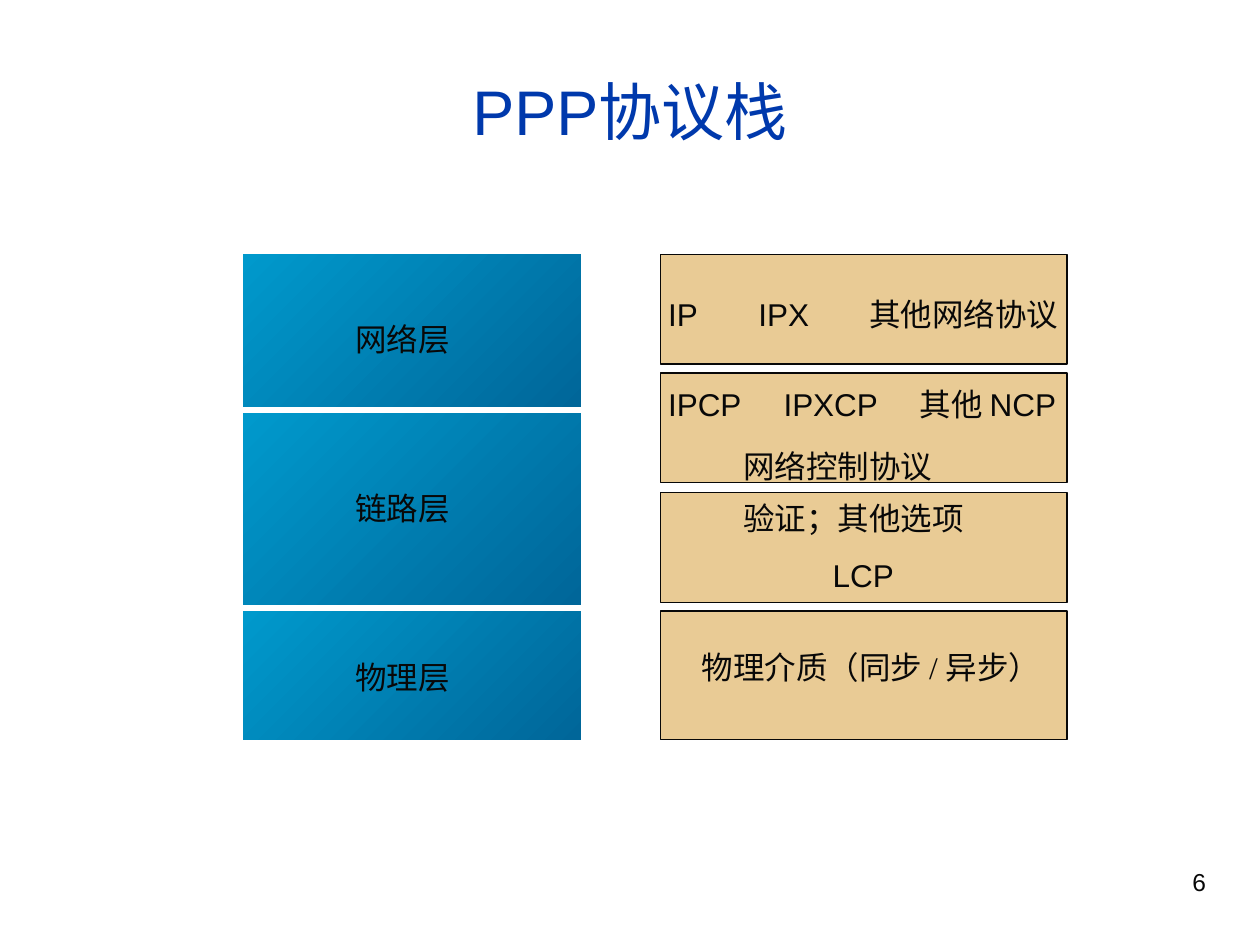
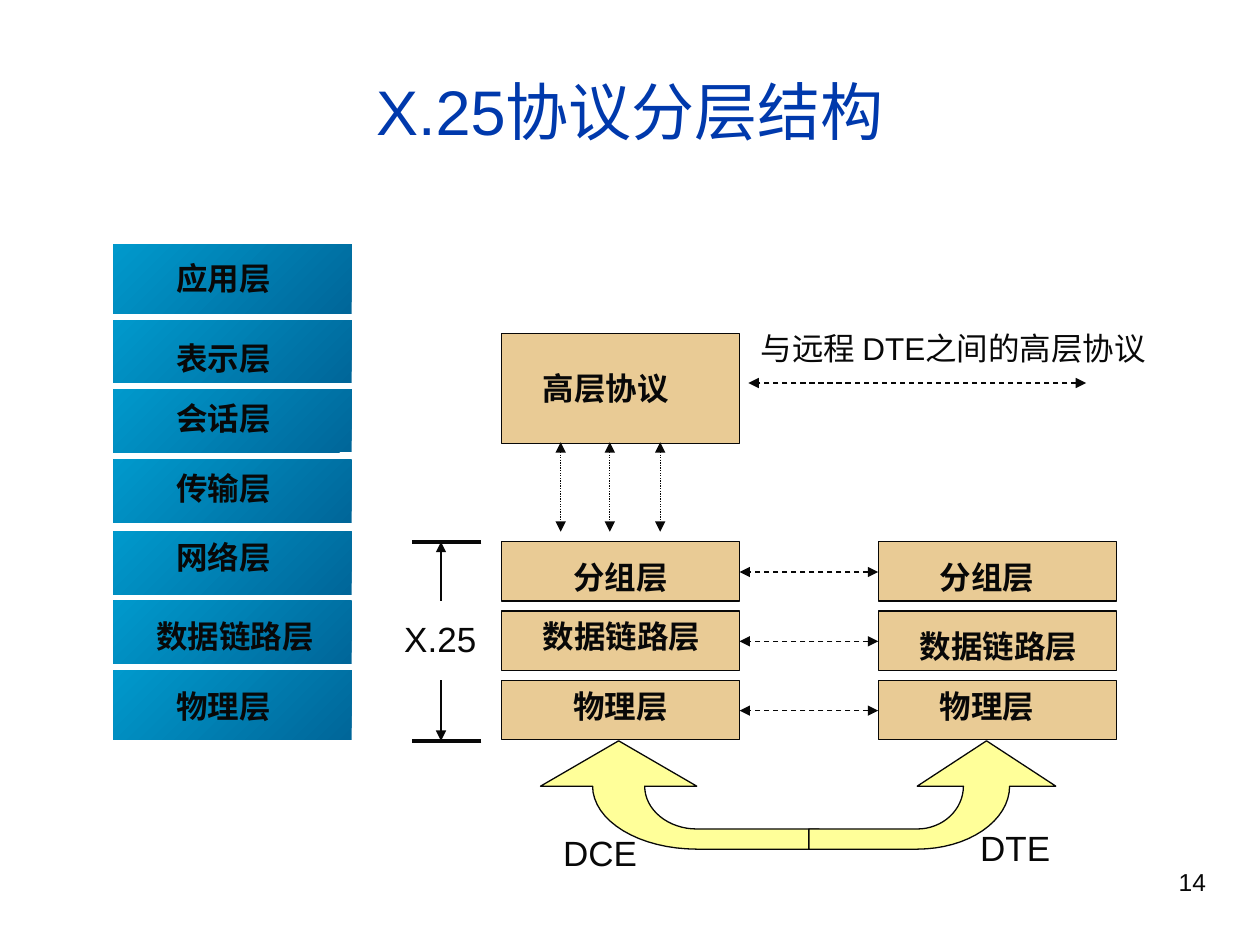
from lxml import etree
from pptx import Presentation
from pptx.dml.color import RGBColor
from pptx.enum.dml import MSO_LINE_DASH_STYLE as Dash
from pptx.enum.shapes import MSO_CONNECTOR as Link, MSO_SHAPE as Form
from pptx.enum.text import MSO_ANCHOR as Anchor, MSO_AUTO_SIZE as Fit, PP_ALIGN as Align
from pptx.oxml.ns import qn
from pptx.util import Pt
from math import cos, pi, sin

PX = 9144  # 100 px to the inch
BLUE, INK, TAN, YELLOW = "0039AC", "080808", "E9CB95", "FFFF99"
DARK, LIGHT = "006699", "0099CC"
SANS, SERIF = "Arial", "Times New Roman"


def rgb(code):
    return RGBColor.from_string(code)


def emu(*sizes):
    return [round(size * PX) for size in sizes]


class Deck:
    """Holds the style and the current slide."""

    def __init__(self):
        self.prs = Presentation()
        self.prs.slide_width, self.prs.slide_height = emu(1000, 750)

    def page(self, title, number):
        layout = self.prs.slide_layouts[6]
        self.shapes = self.prs.slides.add_slide(layout).shapes
        frame = self.frame(33, 25, 934, 125)
        frame.vertical_anchor = Anchor.MIDDLE
        self.para(frame.paragraphs[0], [(title, 36)], color=BLUE, align=Align.CENTER)
        frame = self.frame(717, 683, 250, 52)
        self.para(frame.paragraphs[0], [(str(number), 14)], align=Align.RIGHT)

    def frame(self, x, y, w, h):
        frame = self.shapes.add_textbox(*emu(x, y, w, h)).text_frame
        frame.word_wrap = True
        return frame

    def para(self, para, runs, font=SANS, color=INK, bold=False, align=Align.LEFT,
             gap=0, indent=0, tabs=()):
        para.alignment = align
        para.space_before = Pt(gap)
        props = para._p.get_or_add_pPr()
        if indent:
            props.set("marL", str(indent * PX))
        if tabs:
            stops = etree.SubElement(props, qn("a:tabLst"))
            for stop in tabs:
                etree.SubElement(stops, qn("a:tab"), pos=str(stop * PX), algn="l")
        for text, size in runs:
            run = para.add_run()
            run.text = text
            run.font.size, run.font.name, run.font.bold = Pt(size), font, bold
            run.font.color.rgb = rgb(color)

    def label(self, x, y, w, h, *lines):
        """Each line is a dict of arguments for para."""
        frame = self.frame(x, y, w, h)
        frame.auto_size = Fit.SHAPE_TO_FIT_TEXT
        for i, line in enumerate(lines):
            para = frame.add_paragraph() if i else frame.paragraphs[0]
            self.para(para, gap=11.2, **line)

    def word(self, x, y, text, size=18, w=244, bold=False, font=SANS):
        self.label(x, y, w, 2 * size + 4, dict(runs=[(text, size)], bold=bold, font=font))

    def paint(self, shape, fill):
        shape.shadow.inherit = False
        shape.fill.solid()
        shape.fill.fore_color.rgb = rgb(fill)
        shape.line.color.rgb = rgb(INK)
        shape.line.width = Pt(0.75)

    def box(self, x, y, w, h):
        self.paint(self.shapes.add_shape(Form.RECTANGLE, *emu(x, y, w, h)), TAN)

    def layer(self, x, y, w, h):
        shape = self.shapes.add_shape(Form.RECTANGLE, *emu(x, y, w, h))
        shape.shadow.inherit = False
        shape.fill.gradient()
        shape.fill.gradient_angle = 135
        for stop, code in zip(shape.fill.gradient_stops, (DARK, LIGHT)):
            stop.color.rgb = rgb(code)
        shape.line.fill.background()

    def line(self, x1, y1, x2, y2, width=0.75, dash=None, ends=()):
        link = self.shapes.add_connector(Link.STRAIGHT, *emu(x1, y1, x2, y2))
        link.line.color.rgb = rgb(INK)
        link.line.width = Pt(width)
        if dash:
            link.line.dash_style = dash
        props = link._element.spPr
        for end in ends:
            etree.SubElement(props.find(qn("a:ln")), qn(f"a:{end}End"), type="triangle")
        etree.SubElement(props, qn("a:effectLst"))

    def bend(self, tail, mid, wing):
        """Bent arrow from tail up to a head that spans mid to mid + wing."""
        top, neck, low, base = 588, 624, 658, 674
        out, inn = wing * 2 / 3, wing / 3
        turn = [i * pi / 32 for i in range(17)]
        dots = [(tail, base)]
        dots += [(mid + out * sin(t), neck + (base - neck) * cos(t)) for t in turn]
        dots += [(mid + wing, neck), (mid + wing / 2, top), (mid, neck)]
        dots += [(mid + inn * cos(t), neck + (low - neck) * sin(t)) for t in turn]
        dots += [(tail, low)]
        first, *rest = [emu(*dot) for dot in dots]
        path = self.shapes.build_freeform(*first, scale=1.0)
        path.add_line_segments(rest, close=True)
        self.paint(path.convert_to_shape(), YELLOW)


def stack(deck):
    deck.page("PPP协议栈", 6)

    # Layers on the left
    for y, h, mark, name in ((202, 121, 249, "网络层"), (328, 152, 383, "链路层"),
                             (485, 102, 517, "物理层")):
        deck.layer(193, y, 268, h)
        deck.word(272, mark, name)

    # Protocols on the right
    for y, h in ((202, 87), (296, 87), (391, 87), (485, 102)):
        deck.box(524, y, 323, h)
    lead = (" ", 32)
    deck.label(508, 210, 362, 64,
               dict(runs=[lead, ("IP\tIPX\t其他网络协议", 18)], tabs=(84, 172)))
    deck.label(508, 281, 362, 109,
               dict(runs=[lead, ("IPCP\tIPXCP\t其他 NCP", 18)], tabs=(104, 212)),
               dict(runs=[("网络控制协议", 18)], font=SERIF, indent=72))
    deck.label(547, 391, 347, 86,
               dict(runs=[("验证；其他选项", 18)], font=SERIF, indent=33),
               dict(runs=[("LCP", 18)], indent=104))
    deck.word(547, 509, "物理介质（同步 / 异步）", w=347, font=SERIF)


def tiers(deck):
    deck.page("X.25协议分层结构", 14)
    both = ("head", "tail")

    # Seven layers
    for y, h, x, mark, name in (
            (194, 55, 130, 201, "应用层"), (254, 50, 130, 264, "表示层"),
            (309, 50, 130, 312, "会话层"), (365, 50, 130, 367, "传输层"),
            (422, 50, 130, 422, "网络层"), (477, 50, 114, 485, "数据链路层"),
            (532, 55, 130, 540, "物理层")):
        deck.layer(90, y, 189, h)
        deck.word(x, mark, name, bold=True)

    # Upper protocol and its links
    deck.box(398, 265, 189, 87)
    deck.word(421, 288, "高层协议", bold=True)
    for x in (445, 484, 524):
        deck.line(x, 351, x, 422, dash=Dash.ROUND_DOT, ends=both)
    deck.line(862, 304, 594, 304, dash=Dash.DASH, ends=both)
    deck.word(594, 256, "与远程 DTE之间的高层协议", w=480)

    # Two peers, joined row by row
    rows = (("分组层", 445, 736, 438, 438), ("数据链路层", 421, 720, 485, 493),
            ("物理层", 445, 736, 540, 540))
    for i, (name, x1, x2, y1, y2) in enumerate(rows):
        y = 430 + 55 * i
        for left, x, mark in ((398, x1, y1), (697, x2, y2)):
            deck.box(left, y, 189, 47)
            deck.word(x, mark, name, bold=True)
        deck.line(697, y + 24, 587, y + 24, dash=Dash.DASH, ends=both)

    # Bent arrows
    deck.bend(650, 553, -124)
    deck.bend(642, 728, 110)
    deck.word(437, 655, "DCE", 20, 181)
    deck.word(768, 651, "DTE", 20, 181)

    # Span of X.25
    for y, start in ((430, 477), (588, 540)):
        deck.line(382, y, 327, y, width=2)
        deck.line(350, start, 350, y, ends=("tail",))
    deck.word(311, 485, "X.25", 20, 181)


def main():
    deck = Deck()
    stack(deck)
    tiers(deck)
    deck.prs.save("out.pptx")


if __name__ == "__main__":
    main()
